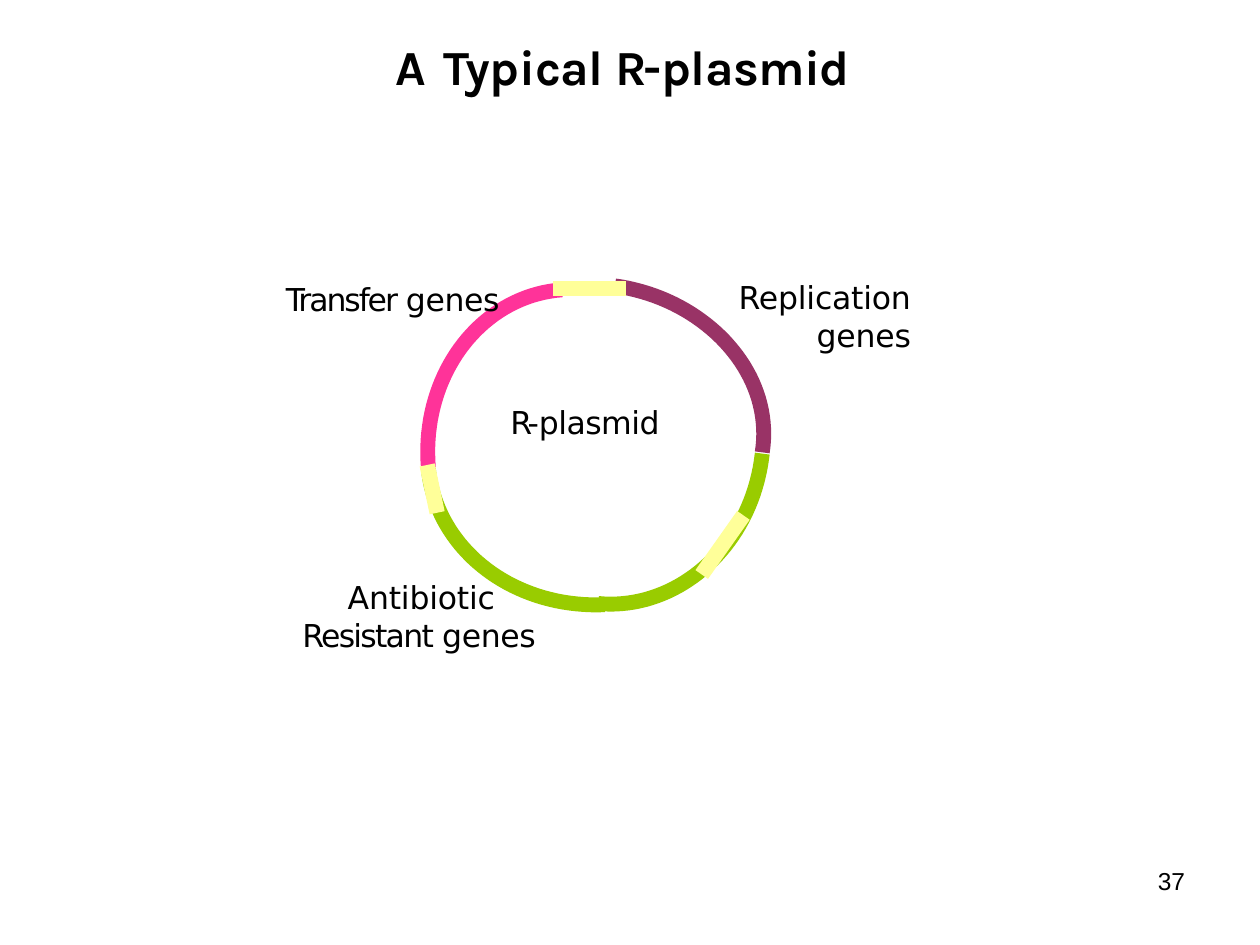
from pptx import Presentation
from pptx.dml.color import RGBColor
from pptx.enum.shapes import MSO_CONNECTOR
from pptx.enum.text import MSO_ANCHOR, MSO_AUTO_SIZE, PP_ALIGN
from pptx.oxml.ns import qn
from pptx.util import Pt

LEFT, RIGHT = PP_ALIGN.LEFT, PP_ALIGN.RIGHT
TOP, FIXED = MSO_ANCHOR.TOP, MSO_AUTO_SIZE.NONE
STRAIGHT = MSO_CONNECTOR.STRAIGHT
COLORS = {"text": "000000", "replication": "993366", "resistance": "99CC00",
          "transfer": "FF3399", "spacer": "FFFF99"}
STEPS = 39
GENE_ARCS = [
    ("replication", [(195.6, 98.5), (202.8, 53.1), (163.2, 10.6), (111.4, 3.4)]),
    ("resistance", [(102, 184.9), (146.6, 189.2), (189.8, 152.5), (195.6, 99.2)]),
    ("resistance", [(4.8, 107.8), (9.1, 152.5), (51.6, 187.8), (105.6, 185.6)]),
    ("transfer", [(81.1, 5.6), (34.3, 9.2), (0.5, 54.6), (4.8, 107.1)]),
]
SPACERS = [
    ((76.1, 4.9), (117.8, 4.9), 8.5),
    ((4.1, 105.7), (9.8, 133), 8.75),
    ((184.8, 134.5), (161, 168.3), 8.75),
]
LABELS = [
    ((419.8, 158.4, 100.8, 45.4), RIGHT, 0, 0,
     [[("Replication", -0.1)], [("genes", -0.1)]]),
    ((290.9, 229.7, 87.1, 23.8), LEFT, 0.7, 0, [[("R-", -1.9), ("plasmid", -0.3)]]),
    ((172.1, 329.8, 136.1, 45.4), LEFT, 0.7, 25.9,
     [[("Antibiotic ", -0.1), ("Resistant ", -1), ("genes", -0.2)]]),
    ((162.7, 159.1, 126.7, 23.8), LEFT, 0.7, 0, [[("Transfer ", -1.2), ("genes", -0.2)]]),
]


def set_frame(shape, box, inset_left, inset_top):
    """Place a text shape in its box and fix its insets."""
    shape.left, shape.top, shape.width, shape.height = map(Pt, box)
    frame = shape.text_frame
    frame.word_wrap, frame.auto_size, frame.vertical_anchor = True, FIXED, TOP
    frame.margin_left, frame.margin_top = Pt(inset_left), Pt(inset_top)
    frame.margin_right = frame.margin_bottom = 0
    return frame


def add_spans(para, spans, font, size, bold=False):
    """Add runs, each with its own letter spacing in points."""
    for text, spacing in spans:
        span = para.add_run()
        span.text = text
        span.font.name, span.font.size, span.font.bold = font, Pt(size), bold
        span.font.color.rgb = RGBColor.from_string(COLORS["text"])
        span.font._element.set("spc", str(round(spacing * 100)))


def add_title(page, box):
    """Fill the title placeholder."""
    para = set_frame(page.shapes.title, box, 198.7, 10.1).paragraphs[0]
    para.alignment, para.space_before = LEFT, Pt(1.1)
    add_spans(para, [("A ", 1.5), ("Typical ", -0.2), ("R-", -2.4), ("plasmid", -0.3)],
              "Karla", 28, True)


def add_label(page, box, alignment, inset, indent, lines):
    """Add a gene label, one paragraph for each line."""
    frame = set_frame(page.shapes.add_textbox(*map(Pt, box)), box, inset, 0.7)
    for index, spans in enumerate(lines):
        para = frame.add_paragraph() if index else frame.paragraphs[0]
        para.alignment = alignment
        para.space_before = Pt(0.1 if index else 1)
        para._p.get_or_add_pPr().set("indent", str(Pt(indent)))
        add_spans(para, spans, "DejaVu Sans", 18)


def add_page_number(page, box):
    """Add the page number."""
    frame = set_frame(page.shapes.add_textbox(*map(Pt, box)), box, 2.9, 0)
    para = frame.paragraphs[0]
    para.line_spacing = Pt(16.4)
    add_spans(para, [("37", -0.2)], "Arial", 14)


def curve_point(controls, step):
    """Return a point in EMU on a cubic curve."""
    t = step / STEPS
    weights = ((1 - t) ** 3, 3 * t * (1 - t) ** 2, 3 * t * t * (1 - t), t ** 3)
    return tuple(Pt(sum(w * point[axis] for w, point in zip(weights, controls)))
                 for axis in (0, 1))


def set_line(shape, color, width):
    """Set the colour and width of a stroke."""
    shape.line.color.rgb = RGBColor.from_string(COLORS[color])
    shape.line.width = Pt(width)


def add_plasmid(page, left, top):
    """Draw the ring of gene arcs and spacers from its top left corner."""
    ring = page.shapes.add_group_shape().shapes
    for color, controls in GENE_ARCS:
        placed = [(left + x, top + y) for x, y in controls]
        points = [curve_point(placed, step) for step in range(STEPS + 1)]
        builder = ring.build_freeform(*points[0])
        builder.add_line_segments(points[1:], close=False)
        arc = builder.convert_to_shape()
        arc.fill.background()
        arc.shadow.inherit = False
        set_line(arc, color, 8.5)
    for (x1, y1), (x2, y2), width in SPACERS:
        spacer = ring.add_connector(STRAIGHT, Pt(left + x1), Pt(top + y1),
                                    Pt(left + x2), Pt(top + y2))
        set_line(spacer, "spacer", width)
        properties = spacer._element.spPr
        properties.append(properties.makeelement(qn("a:effectLst"), {}))


def main():
    """Build and save the deck."""
    deck = Presentation()
    deck.slide_width, deck.slide_height = Pt(720), Pt(540)
    page = deck.slides.add_slide(deck.slide_layouts[5])
    add_plasmid(page, 240, 160)
    for label in LABELS:
        add_label(page, *label)
    add_page_number(page, (658.8, 495.4, 22.3, 17.3))
    add_title(page, (27.4, 10.8, 666, 78.5))
    deck.save("out.pptx")


if __name__ == "__main__":
    main()
